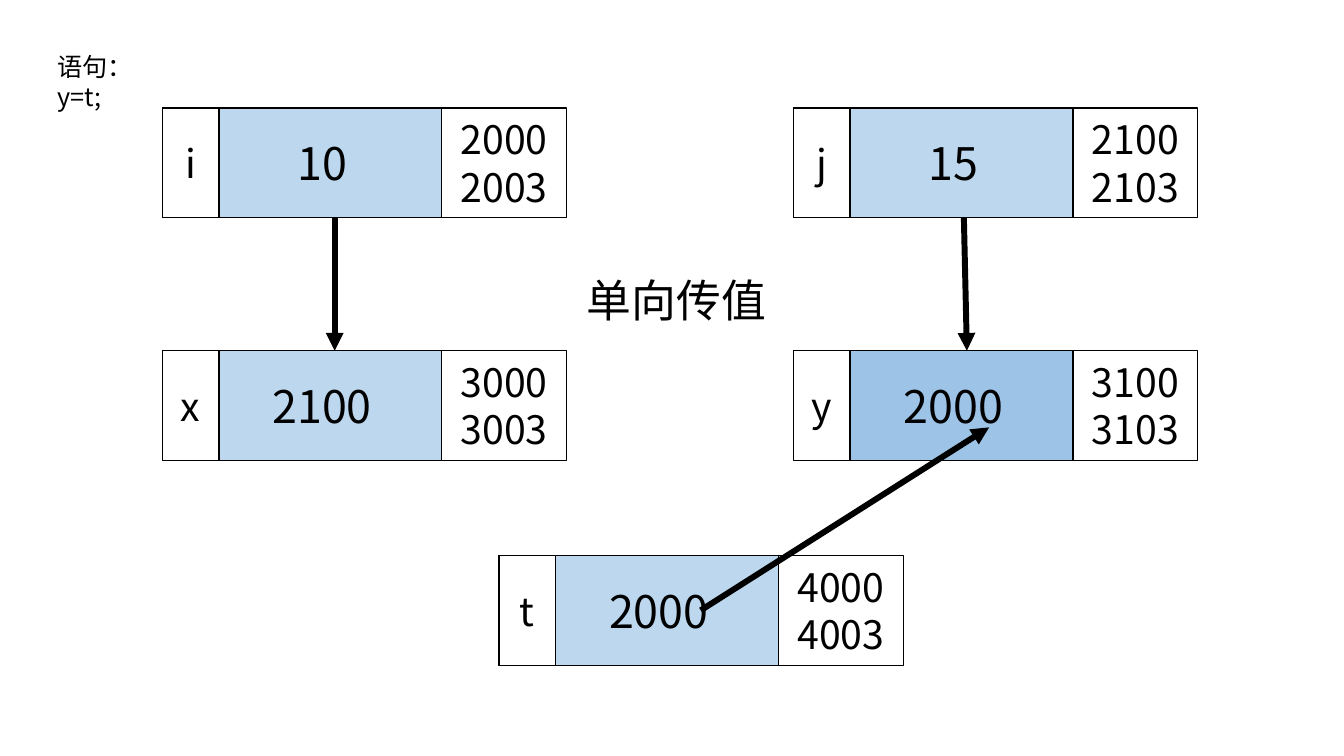
import pptx
import pptx.dml.color
import pptx.enum.shapes
import pptx.enum.text
import pptx.oxml
import pptx.oxml.ns
import pptx.util

Inches = pptx.util.Inches
Pt = pptx.util.Pt
RGBColor = pptx.dml.color.RGBColor
Align = pptx.enum.text.PP_ALIGN

FONT = "Noto Sans CJK SC"
BLACK = RGBColor(0x00, 0x00, 0x00)
WHITE = RGBColor(0xFF, 0xFF, 0xFF)
LIGHT_BLUE = RGBColor(0xBD, 0xD7, 0xEE)
MID_BLUE = RGBColor(0x9D, 0xC3, 0xE6)

SLIDE_WIDTH, SLIDE_HEIGHT = 13.33, 7.5

# Memory cell size, and the columns and rows the cells stand on
CELL_WIDTH, CELL_HEIGHT = 4.01, 1.09
LEFT, MIDDLE, RIGHT = 1.61, 4.95, 7.87
TOP_ROW, CENTRE_ROW, BOTTOM_ROW = 1.07, 3.48, 5.51

# Parts of a memory cell: start and width as shares of the cell width
VALUE_PART = (0, 0.695)
NAME_PART = (0, 0.14)
ADDRESS_PART = (0.691, 0.309)

# Name, value, first and last address, left, top, value colour
VARIABLES = [
    ("i", "10", 2000, LEFT, TOP_ROW, LIGHT_BLUE),
    ("j", "15", 2100, RIGHT, TOP_ROW, LIGHT_BLUE),
    ("x", "2100", 3000, LEFT, CENTRE_ROW, LIGHT_BLUE),
    ("y", "2000", 3100, RIGHT, CENTRE_ROW, MID_BLUE),
    ("t", "2000", 4000, MIDDLE, BOTTOM_ROW, LIGHT_BLUE),
]
LAST_BYTE = 3


def write_lines(frame, lines, size, alignment):
    """Write one paragraph per line in the slide font."""
    frame.text = "\n".join(lines)
    for paragraph in frame.paragraphs:
        paragraph.alignment = alignment
        paragraph.font.name = FONT
        paragraph.font.size = Pt(size)
        paragraph.font.color.rgb = BLACK
        for run in paragraph.runs:
            properties = run._r.get_or_add_rPr()
            east_asian = pptx.oxml.parse_xml(
                '<a:ea %s typeface="%s"/>' % (pptx.oxml.ns.nsdecls("a"), FONT))
            properties.append(east_asian)


def add_part(group, box, part, lines, size, fill, indent=0.1):
    """Add one outlined part of a memory cell, placed within the cell's box."""
    left, top, width, height = box
    start, share = part
    shape = group.shapes.add_shape(
        pptx.enum.shapes.MSO_SHAPE.RECTANGLE,
        Inches(left + start * width), Inches(top),
        Inches(share * width), Inches(height))
    shape.shadow.inherit = False
    shape.fill.solid()
    shape.fill.fore_color.rgb = fill
    shape.line.color.rgb = BLACK
    shape.line.width = Pt(1)
    frame = shape.text_frame
    frame.word_wrap = True
    frame.vertical_anchor = pptx.enum.text.MSO_ANCHOR.MIDDLE
    frame.margin_left = Inches(indent)
    write_lines(frame, lines, size, Align.CENTER)


def add_memory_cell(slide, box, name, value, address, fill):
    """Add a variable as a group: value, name and address range."""
    group = slide.shapes.add_group_shape()
    addresses = [str(address), str(address + LAST_BYTE)]
    add_part(group, box, VALUE_PART, [value], 32, fill, indent=0.48)
    add_part(group, box, NAME_PART, [name], 28, WHITE)
    add_part(group, box, ADDRESS_PART, addresses, 28, WHITE)


def add_arrow(slide, start, end):
    """Add a thick arrow between two points."""
    arrow = slide.shapes.add_connector(
        pptx.enum.shapes.MSO_CONNECTOR.STRAIGHT,
        *[Inches(length) for length in (*start, *end)])
    arrow.line.color.rgb = BLACK
    arrow.line.width = Pt(4.25)
    namespace = pptx.oxml.ns.nsdecls("a")
    arrow.line._get_or_add_ln().append(
        pptx.oxml.parse_xml('<a:tailEnd %s type="triangle"/>' % namespace))
    arrow._element.spPr.append(
        pptx.oxml.parse_xml('<a:effectLst %s/>' % namespace))


def add_label(slide, box, text, size):
    """Add a plain text label; a vertical tab in the text breaks the line."""
    label = slide.shapes.add_textbox(*[Inches(length) for length in box])
    label.text_frame.word_wrap = False
    write_lines(label.text_frame, [text], size, Align.LEFT)


def add_memory_slide(presentation):
    """Build the slide of variables, arrows and labels."""
    slide = presentation.slides.add_slide(presentation.slide_layouts[6])
    for name, value, address, left, top, fill in VARIABLES:
        box = (left, top, CELL_WIDTH, CELL_HEIGHT)
        add_memory_cell(slide, box, name, value, address, fill)
    add_label(slide, (5.72, 2.66, 2, 0.64), "单向传值", 32)
    top_row_end = TOP_ROW + CELL_HEIGHT
    add_arrow(slide, (MIDDLE + 2, BOTTOM_ROW + CELL_HEIGHT / 2),
              (RIGHT + 1.94, CENTRE_ROW + 0.76))
    add_arrow(slide, (LEFT + 1.71, top_row_end), (LEFT + 1.71, CENTRE_ROW))
    add_arrow(slide, (RIGHT + 1.69, top_row_end), (RIGHT + 1.72, CENTRE_ROW))
    add_label(slide, (0.47, 0.46, 1.38, 0.4), "语句：\vy=t;", 18)


presentation = pptx.Presentation()
presentation.slide_width = Inches(SLIDE_WIDTH)
presentation.slide_height = Inches(SLIDE_HEIGHT)
add_memory_slide(presentation)
presentation.save("out.pptx")
